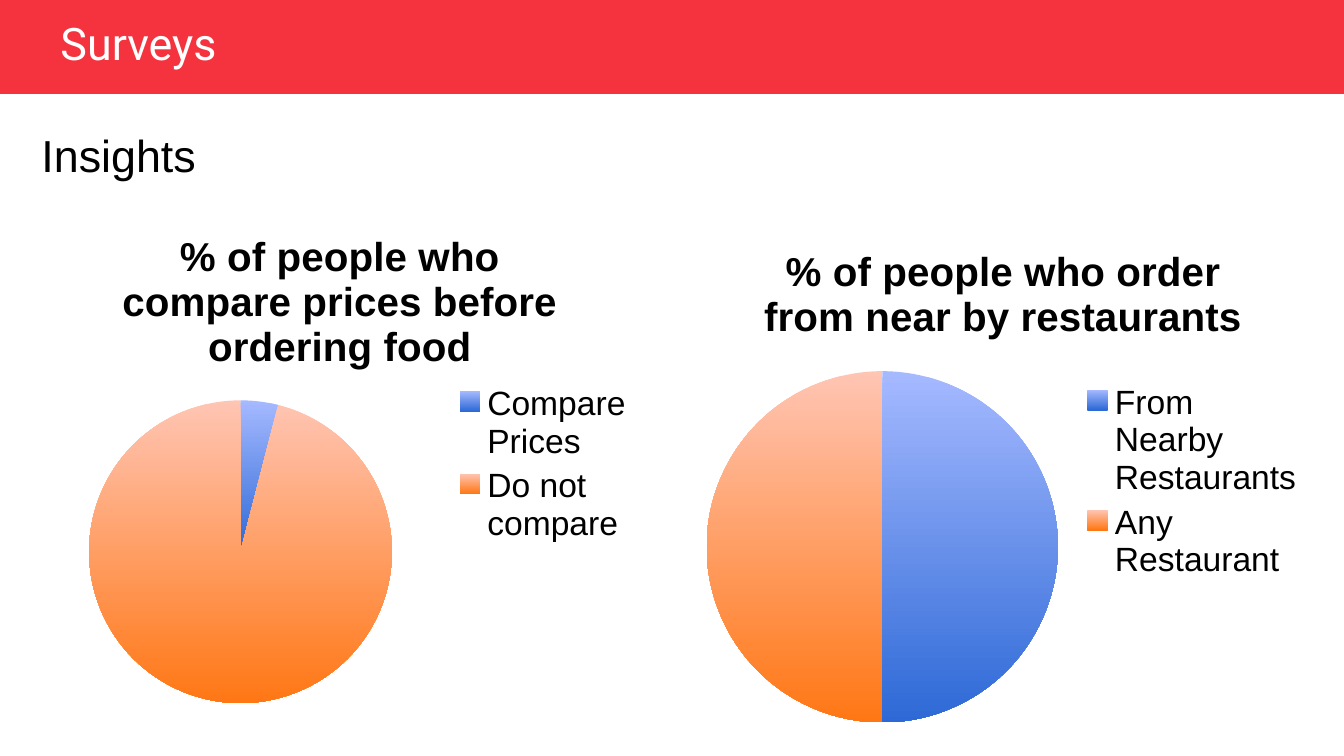
"""Build the survey insights slide with its two pie charts."""
from pptx import Presentation, util as u
from pptx.chart.data import CategoryChartData
from pptx.dml.color import RGBColor
from pptx.enum import chart as ch, shapes, text

HUES = {"bar": "F5333F", "white": "FFFFFF", "black": "000000"}
FADES = [("A5B9FF", "2D69D6"), ("FFC5B3", "FF7715")]
WIDE = 10
HIGH = WIDE * 9 / 16
HEAD = "Surveys"
NOTE = "Insights"
PIES = [
    {"title": "% of people who compare prices before ordering food",
     "name": "% of people who compare prices before ordering food",
     "cats": ["Compare Prices", "Do not compare"], "vals": [4, 96],
     "box": (0.24, 1.53, 4.58, 3.84)},
    {"title": "% of people who order from near by restaurants",
     "name": "Series 1",
     "cats": ["From Nearby Restaurants", "Any Restaurant"], "vals": [50, 50],
     "box": (5.12, 1.64, 4.69, 3.88)},
]


def inch(box):
    return [u.Inches(n) for n in box]


def style(font, hue, **form):
    for key, val in form.items():
        setattr(font, key, val)
    font.color.rgb = RGBColor.from_string(HUES[hue])


def write(shape, words, pad, font, hue, anchor):
    frame = shape.text_frame
    form = {"word_wrap": True, "auto_size": text.MSO_AUTO_SIZE.NONE,
            "vertical_anchor": anchor,
            "margin_left": u.Inches(0.1), "margin_right": u.Inches(0.1),
            "margin_top": u.Inches(pad), "margin_bottom": u.Inches(pad)}
    for key, val in form.items():
        setattr(frame, key, val)
    para = frame.paragraphs[0]
    para.alignment = text.PP_ALIGN.LEFT
    run = para.add_run()
    run.text = words
    style(run.font, hue, size=u.Pt(24), name=font)
    return para


def draw_pie(slide, pie):
    data = CategoryChartData()
    data.categories = pie["cats"]
    data.add_series(pie["name"], pie["vals"])
    chart = slide.shapes.add_chart(
        ch.XL_CHART_TYPE.PIE, *inch(pie["box"]), data).chart
    style(chart.font, "black", size=u.Pt(18), name="Arial")
    chart.has_title = True
    run = chart.chart_title.text_frame.paragraphs[0].add_run()
    run.text = pie["title"]
    style(run.font, "black", size=u.Pt(21.6), name="Arial", bold=True)
    chart.has_legend = True
    chart.legend.position = ch.XL_LEGEND_POSITION.RIGHT
    chart.legend.include_in_layout = False
    plot = chart.plots[0]
    plot.vary_by_categories = True
    for i, fade in enumerate(FADES):
        look = plot.series[0].points[i].format
        look.line.fill.background()
        look.fill.gradient()
        look.fill.gradient_angle = 270
        for stop, hue in zip(look.fill.gradient_stops, fade):
            stop.color.rgb = RGBColor.from_string(hue)


def main():
    deck = Presentation()
    deck.slide_width, deck.slide_height = inch((WIDE, HIGH))
    slide = deck.slides.add_slide(deck.slide_layouts[5])

    bar = slide.shapes.add_shape(
        shapes.MSO_SHAPE.RECTANGLE, *inch((0, 0, WIDE, 0.7)))
    bar.shadow.inherit = False
    bar.fill.solid()
    bar.fill.fore_color.rgb = RGBColor.from_string(HUES["bar"])
    bar.line.fill.background()

    title = slide.shapes.title
    bar._element.addnext(title._element)
    title.left, title.top, title.width, title.height = inch(
        (0.35, 0.13, 7.92, 0.42))
    para = write(title, HEAD, 0.05, "Roboto", "white", text.MSO_ANCHOR.MIDDLE)
    para.line_spacing = 0.9

    note = slide.shapes.add_textbox(*inch((0.21, 0.85, 9.59, 4.65)))
    write(note, NOTE, 0.1, "Arial", "black", text.MSO_ANCHOR.TOP)

    for pie in PIES:
        draw_pie(slide, pie)
    deck.save("out.pptx")


if __name__ == "__main__":
    main()
